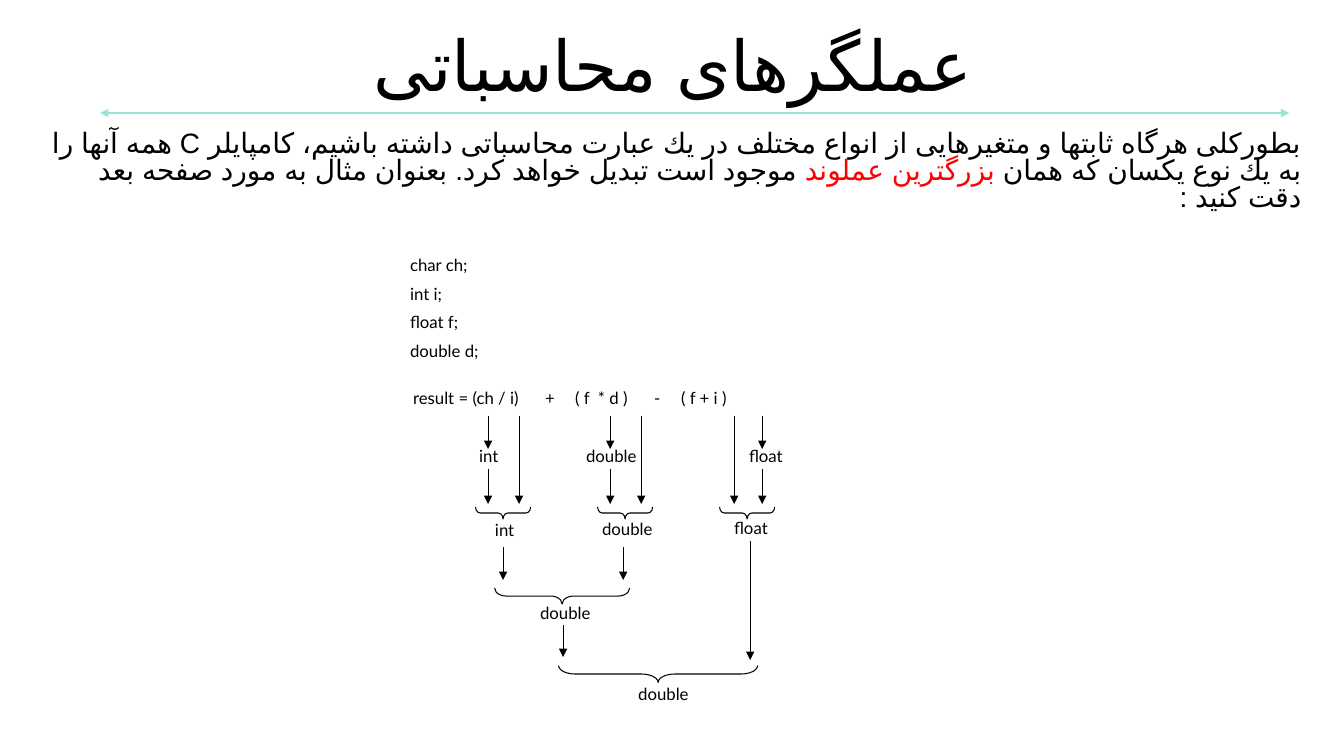
from lxml import etree
from pptx import Presentation
from pptx.dml.color import RGBColor
from pptx.enum.lang import MSO_LANGUAGE_ID
from pptx.enum.shapes import MSO_CONNECTOR, MSO_SHAPE
from pptx.enum.text import MSO_ANCHOR, MSO_AUTO_SIZE, PP_ALIGN
from pptx.oxml.ns import qn
from pptx.util import Emu, Inches, Pt

BLACK = RGBColor(0x00, 0x00, 0x00)
RED = RGBColor(0xFF, 0x00, 0x00)
MINT = RGBColor(0x96, 0xE5, 0xD8)
STRAIGHT = MSO_CONNECTOR.STRAIGHT
BRACE = MSO_SHAPE.LEFT_BRACE
CENTER, RIGHT = PP_ALIGN.CENTER, PP_ALIGN.RIGHT
MIDDLE, TOP = MSO_ANCHOR.MIDDLE, MSO_ANCHOR.TOP
NO_FIT = MSO_AUTO_SIZE.NONE
FARSI, ENGLISH = MSO_LANGUAGE_ID.FARSI, MSO_LANGUAGE_ID.ENGLISH_US
SCALE = Inches(1) / 100.8

TITLE = "عملگرهای محاسباتی"
RULE = [
    ("بطوركلی هرگاه ثابتها و متغیرهایی از انواع مختلف در یك عبارت محاسباتی "
     "داشته باشیم، كامپایلر C همه آنها را به یك نوع یكسان كه همان ", BLACK),
    ("بزرگترین عملوند ", RED),
    ("موجود است تبدیل خواهد كرد. بعنوان مثال به مورد صفحه بعد دقت كنید :", BLACK),
]
VARS = ["char ch;", "int i;", "float f;", "double d;"]
SUM = "result = (ch / i)\t+\t( f  * d )\t-\t( f + i )"
STOPS = [132, 162, 241, 268]

HEAD = {"size": Pt(50), "name": "Arial", "language_id": FARSI}
BODY = {"size": Pt(20), "name": "Arial", "language_id": FARSI}
CODE = {"size": Pt(12), "name": "Lato", "language_id": ENGLISH}

# type, short arrow x, long arrow x, label box, brace centre, outcome box
TERMS = [
    ("int", 488, 519, (469, 441, 47, 30), 503, (485, 515, 47, 30)),
    ("double", 610, 641, (576, 441, 80, 30), 625, (592, 514, 88, 30)),
    ("float", 762, 734, (739, 441, 55, 30), 747, (724, 513, 88, 30)),
]
# arrows, brace, outcome box
MERGES = [
    ([(503, 547, 580), (623, 547, 580)], (562, 596, 135, 16, 0.71), (530, 598, 88, 30)),
    ([(563, 625, 657), (750, 541, 660)], (658, 674, 199, 17, 0.97), (628, 679, 88, 30)),
]


def px(*values):
    """Turn pixels into EMU."""
    return [Emu(round(value * SCALE)) for value in values]


def style(item, values):
    """Set each attribute of a format."""
    for key, value in values.items():
        setattr(item, key, value)


def write(para, text, form, color=BLACK):
    """Add a formatted run to a paragraph."""
    run = para.add_run()
    run.text = text
    style(run.font, form)
    run.font.color.rgb = color
    props = run.font._element
    etree.SubElement(props, qn("a:cs"), typeface=form["name"])


def box(shapes, area, lines, form):
    """Add a text box with one paragraph per line."""
    frame = shapes.add_textbox(*px(*area)).text_frame
    style(frame, {"word_wrap": True, "auto_size": NO_FIT, "vertical_anchor": TOP})
    for index, line in enumerate(lines):
        para = frame.add_paragraph() if index else frame.paragraphs[0]
        if index:
            para.space_before = Pt(6)
        write(para, line, form)
    return frame


def arrow(shapes, start, end, color=BLACK, width=0.75, ends=("tailEnd",)):
    """Add a line with arrowheads."""
    line = shapes.add_connector(STRAIGHT, *px(*start, *end))
    line.line.color.rgb = color
    line.line.width = Pt(width)
    props = line.element.spPr
    for end_name in ends:
        etree.SubElement(props.find(qn("a:ln")), qn("a:" + end_name), type="triangle")
    etree.SubElement(props, qn("a:effectLst"))


def brace(shapes, mid_x, mid_y, span, depth, curve):
    """Add a brace that opens upwards."""
    area = (mid_x - depth / 2, mid_y - span / 2, depth, span)
    shape = shapes.add_shape(BRACE, *px(*area))
    shape.rotation = 270
    shape.shadow.inherit = False
    shape.fill.background()
    shape.line.color.rgb = BLACK
    shape.line.width = Pt(0.75)
    shape.adjustments[0] = curve


def term(slide, kind, short, long, label, middle, outcome):
    """Add the conversion of one bracketed term."""
    shapes = slide.shapes.add_group_shape().shapes
    for x, top, base in [(short, 416, 449), (short, 469, 504), (long, 416, 504)]:
        arrow(shapes, (x, top), (x, base))
    brace(shapes, middle, 513, 55, 12, 0.39)
    for area in (label, outcome):
        box(shapes, area, [kind], CODE)


def merge(slide, arrows, curve, outcome):
    """Add the joining of two values into a double."""
    shapes = slide.shapes.add_group_shape().shapes
    for x, top, base in arrows:
        arrow(shapes, (x, top), (x, base))
    brace(shapes, *curve)
    box(shapes, outcome, ["double"], CODE)


def title(slide):
    """Place and format the title."""
    shape = slide.shapes.title
    style(shape, dict(zip(("left", "top", "width", "height"), px(35, 31, 1276, 80))))
    frame = shape.text_frame
    style(frame, {"auto_size": NO_FIT, "vertical_anchor": MIDDLE, "word_wrap": True})
    para = frame.paragraphs[0]
    style(para, {"alignment": CENTER, "line_spacing": 0.8})
    write(para, TITLE, HEAD)


def rule(slide):
    """Add the right-to-left explanation."""
    para = box(slide.shapes, (35, 127, 1276, 92), [], BODY).paragraphs[0]
    style(para, {"alignment": RIGHT, "line_spacing": 0.8})
    para._p.get_or_add_pPr().set("rtl", "1")
    for text, color in RULE:
        write(para, text, BODY, color)


def total(slide):
    """Add the expression with its tab stops."""
    para = box(slide.shapes, (403, 383, 425, 30), [SUM], CODE).paragraphs[0]
    tabs = etree.SubElement(para._p.get_or_add_pPr(), qn("a:tabLst"))
    for stop in px(*STOPS):
        etree.SubElement(tabs, qn("a:tab"), pos=str(int(stop)), algn="l")


def main():
    """Build the slide and save it."""
    deck = Presentation()
    style(deck, {"slide_width": Inches(13.33), "slide_height": Inches(7.5)})
    slide = deck.slides.add_slide(deck.slide_layouts[5])
    title(slide)
    rule(slide)
    box(slide.shapes, (400, 250, 158, 121), VARS, CODE)
    total(slide)
    for values in TERMS:
        term(slide, *values)
    for values in MERGES:
        merge(slide, *values)
    arrow(slide.shapes, (100, 113), (1289, 113), MINT, 1.5, ("headEnd", "tailEnd"))
    deck.save("out.pptx")


main()
